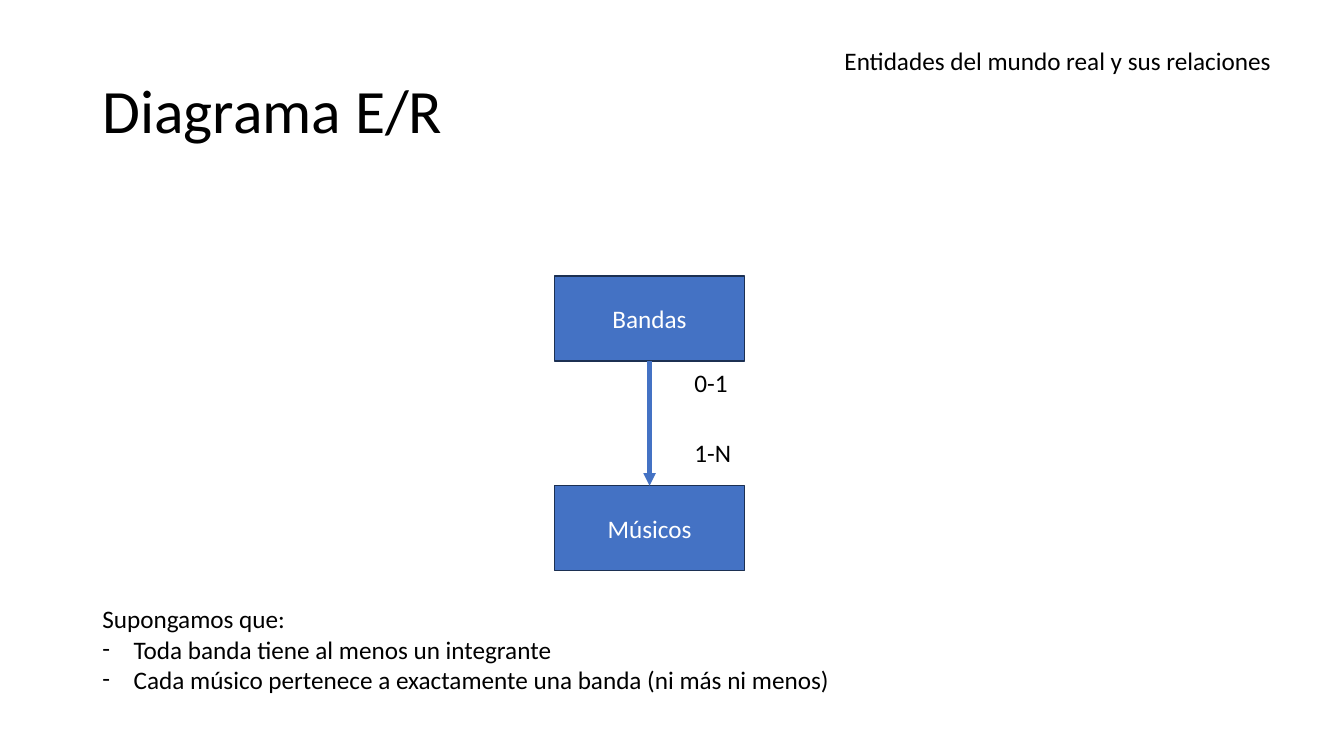
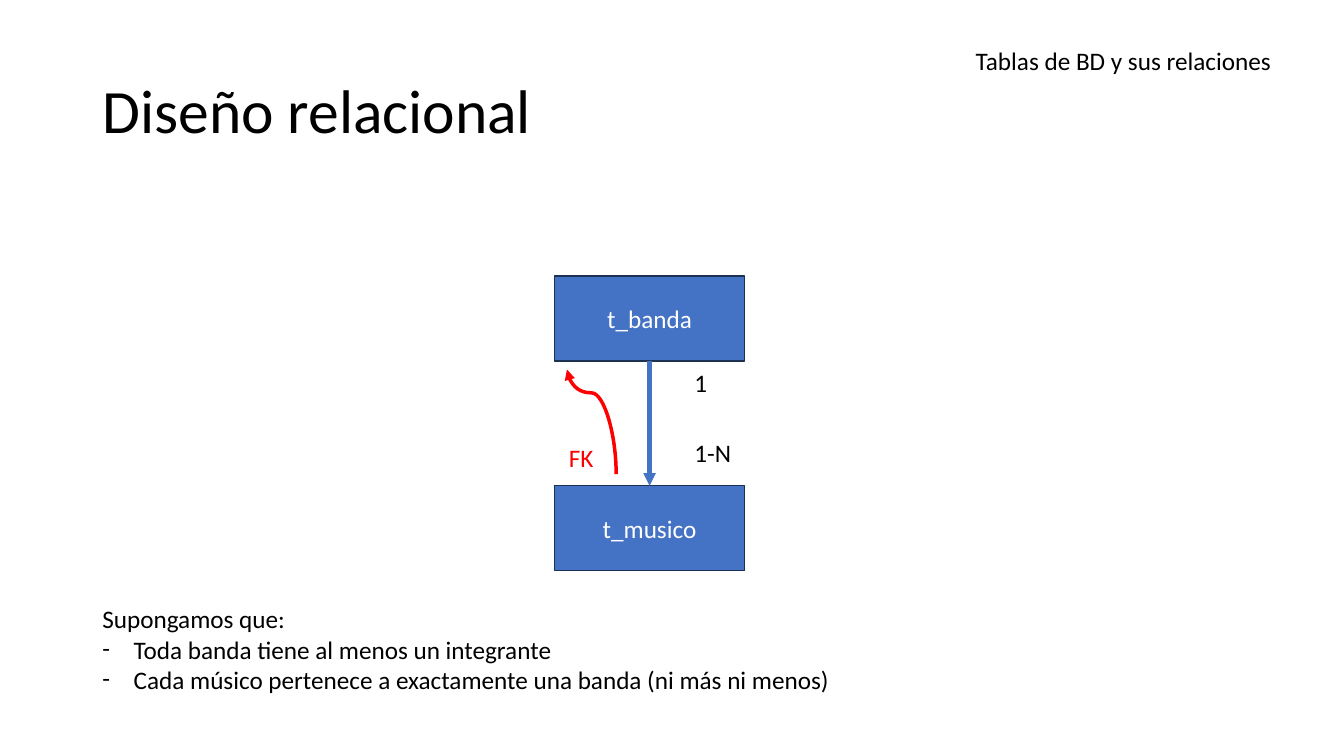
"""Two slides on bands and musicians: the E/R diagram and its relational design."""
from lxml import etree
from pptx import Presentation
from pptx.dml.color import RGBColor
from pptx.enum import shapes, text
from pptx.oxml import ns
from pptx.util import Cm, Pt

HUE = {"ink": "000000", "paper": "FFFFFF", "box": "4472C4", "edge": "1C3052", "key": "FF0000"}
FONT = "Calibri"
LEFT, MID, RIGHT = 2.33, 16.37, 32.28
TOP, ROW = 1.02, 1.02
WIDE, HIGH = 4.8, 2.14
BOXES = (6.96, 12.24)
LABELS = (9.12, 10.9)
NOTES = ["Supongamos que:",
         "- Toda banda tiene al menos un integrante",
         "- Cada músico pertenece a exactamente una banda (ni más ni menos)"]
PAGES = [
    {"title": "Diagrama E/R", "topic": "Entidades del mundo real y sus relaciones",
     "boxes": ["Bandas", "Músicos"], "ends": ["0-1", "1-N"], "key": None},
    {"title": "Diseño relacional", "topic": "Tablas de BD y sus relaciones",
     "boxes": ["t_banda", "t_musico"], "ends": ["1", "1-N"], "key": "FK"},
]


def write(slide, lines, x, y, w, h, size=18, hue="ink", align="LEFT", anchor="TOP",
          space=None, fill=None):
    area = [Cm(v) for v in (x, y, w, h)]
    if fill:
        shape = slide.shapes.add_shape(shapes.MSO_SHAPE.RECTANGLE, *area)
        shape.shadow.inherit = False
        shape.fill.solid()
        shape.fill.fore_color.rgb = RGBColor.from_string(HUE[fill])
        shape.line.color.rgb = RGBColor.from_string(HUE["edge"])
        shape.line.width = Pt(1)
    else:
        shape = slide.shapes.add_textbox(*area)
    frame = shape.text_frame
    frame.word_wrap = True
    frame.vertical_anchor = getattr(text.MSO_ANCHOR, anchor)
    for i, line in enumerate(lines):
        para = frame.add_paragraph() if i else frame.paragraphs[0]
        para.alignment = getattr(text.PP_ALIGN, align)
        para.line_spacing = space
        if line.startswith("- "):
            props = para._p.get_or_add_pPr()
            props.set("marL", str(Cm(0.79)))
            props.set("indent", str(-Cm(0.79)))
            etree.SubElement(props, ns.qn("a:buFont"), typeface=FONT)
            etree.SubElement(props, ns.qn("a:buChar"), char="-")
        run = para.add_run()
        run.text = line.removeprefix("- ")
        run.font.name = FONT
        run.font.size = Pt(size)
        run.font.color.rgb = RGBColor.from_string(HUE[hue])


def arrow(slide, kind, ends, hue, width):
    link = slide.shapes.add_connector(kind, *[Cm(v) for v in ends])
    link.line.color.rgb = RGBColor.from_string(HUE[hue])
    link.line.width = Pt(width)
    etree.SubElement(link.line._get_or_add_ln(), ns.qn("a:tailEnd"), type="triangle")
    props = link._element.spPr
    etree.SubElement(props, ns.qn("a:effectLst"))
    return props


deck = Presentation()
deck.slide_width, deck.slide_height = Cm(33.87), Cm(19.05)

for page in PAGES:
    slide = deck.slides.add_slide(deck.slide_layouts[6])
    write(slide, [page["title"]], LEFT, TOP, 29.21, 3.68, size=44, anchor="MIDDLE", space=0.9)
    write(slide, [page["topic"]], RIGHT - 12.7, TOP, 12.7, ROW, align="RIGHT")
    for name, y in zip(page["boxes"], BOXES):
        write(slide, [name], MID - WIDE / 2, y, WIDE, HIGH, hue="paper",
              align="CENTER", anchor="MIDDLE", fill="box")
    arrow(slide, shapes.MSO_CONNECTOR.STRAIGHT, (MID, BOXES[0] + HIGH, MID, BOXES[1]), "box", 3)
    for end, y in zip(page["ends"], LABELS):
        write(slide, [end], 17.25, y, 1.9, ROW)
    if page["key"]:
        props = arrow(slide, shapes.MSO_CONNECTOR.CURVE, (16.23, 10.01, 13.59, 11.25), "key", 2.5)
        props.find(ns.qn("a:xfrm")).set("rot", str(90 * 60000))
        bend = props.find(ns.qn("a:prstGeom")).find(ns.qn("a:avLst"))
        etree.SubElement(bend, ns.qn("a:gd"), name="adj1", fmla="val 77700")
        write(slide, [page["key"]], 14.02, 11.02, 1.25, ROW, hue="key", align="CENTER")
    write(slide, NOTES, LEFT, 15.09, 25.83, 2.57)

deck.save("out.pptx")
